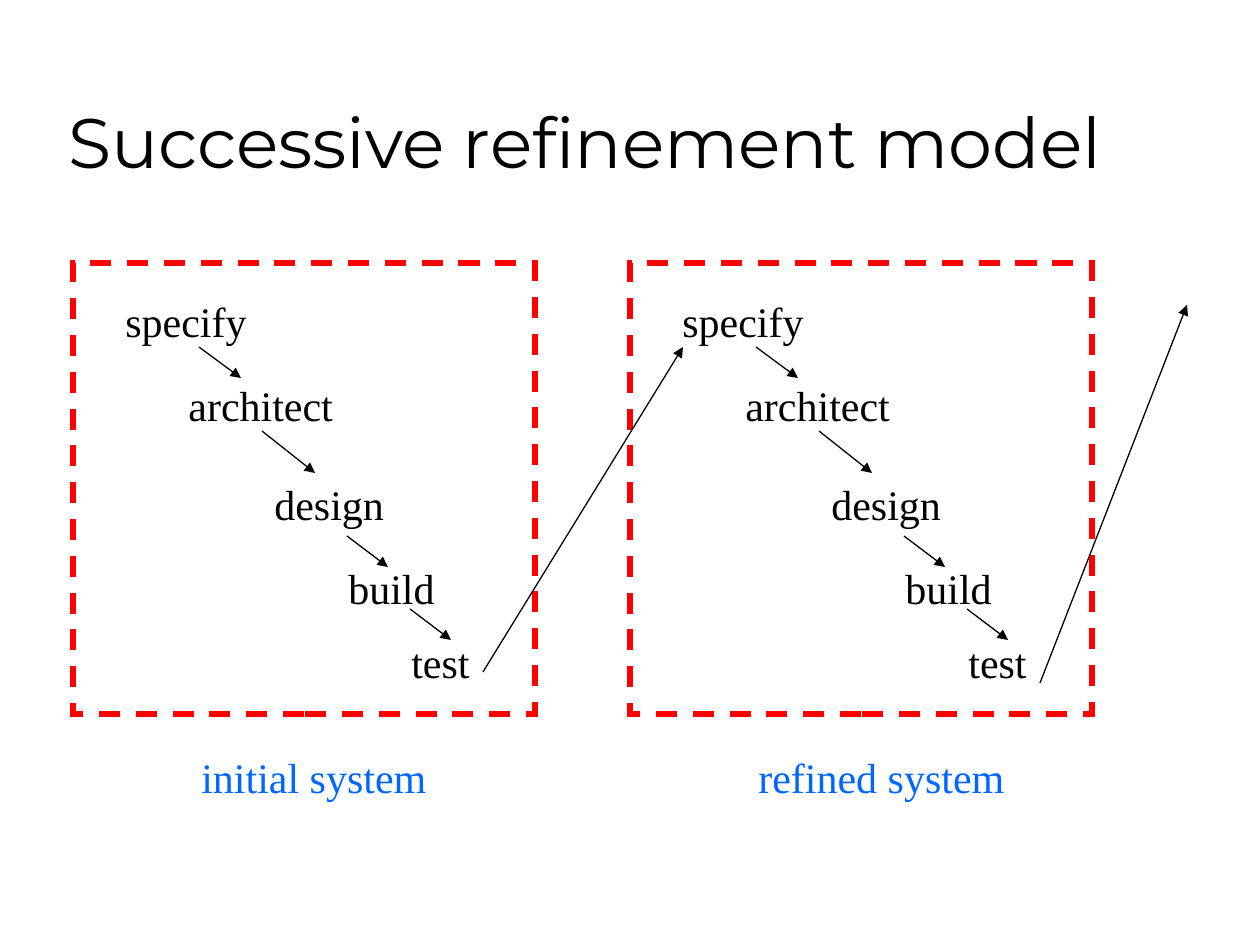
from dataclasses import dataclass

from lxml import etree
from pptx import Presentation
from pptx import util as u
from pptx.dml.color import RGBColor
from pptx.enum import dml, shapes, text
from pptx.oxml.ns import qn

TITLE = "Successive refinement model"
TITLE_BOX = (56, 31, 1071, 158)
STAGES = [
    ("specify", 113, 289, 149),
    ("architect", 176, 373, 172),
    ("design", 262, 472, 138),
    ("build", 336, 556, 114),
    ("test", 399, 630, 86),
]
STEPS = [
    (199, 347, 241, 378),
    (262, 431, 315, 473),
    (347, 536, 388, 567),
    (410, 609, 451, 640),
]
SYSTEMS = [("initial system", 252), ("refined system", 274)]
FEEDBACK = [(483, 672, 683, 347), (1040, 683, 1187, 305)]
FRAME = (73, 263, 462, 451)
CAPTION_LEFT, CAPTION_TOP = 189, 745
LABEL_HEIGHT = 63
SYSTEM_PITCH = 557


@dataclass(frozen=True)
class Theme:
    ink: RGBColor = RGBColor(0, 0, 0)
    frame: RGBColor = RGBColor(255, 0, 0)
    caption: RGBColor = RGBColor(0, 102, 255)
    heading_font: str = "Montserrat"
    body_font: str = "Times New Roman"
    heading_size: int = 40
    body_size: int = 24
    arrow_width: float = 0.75
    frame_width: int = 3


THEME = Theme()


def px(value):
    return u.Emu(round(value * u.Inches(1) / 126))


def write(paragraph, words, font, size, color):
    run = paragraph.add_run()
    run.text = words
    run.font.name = font
    run.font.size = u.Pt(size)
    run.font.color.rgb = color


def add_title(slide):
    title = slide.shapes.title
    title.left, title.top, title.width, title.height = map(px, TITLE_BOX)
    frame = title.text_frame
    frame.auto_size = text.MSO_AUTO_SIZE.NONE
    frame.vertical_anchor = text.MSO_ANCHOR.BOTTOM
    paragraph = frame.paragraphs[0]
    paragraph.alignment = text.PP_ALIGN.LEFT
    write(paragraph, TITLE, THEME.heading_font, THEME.heading_size, THEME.ink)


def add_label(slide, words, left, top, width, color):
    box = slide.shapes.add_textbox(px(left), px(top), px(width), px(LABEL_HEIGHT))
    frame = box.text_frame
    frame.word_wrap = True
    frame.auto_size = text.MSO_AUTO_SIZE.NONE
    write(frame.paragraphs[0], words, THEME.body_font, THEME.body_size, color)


def add_arrow(slide, x1, y1, x2, y2):
    arrow = slide.shapes.add_connector(
        shapes.MSO_CONNECTOR.STRAIGHT, px(x1), px(y1), px(x2), px(y2)
    )
    arrow.line.color.rgb = THEME.ink
    arrow.line.width = u.Pt(THEME.arrow_width)
    properties = arrow._element.spPr
    etree.SubElement(properties.find(qn("a:ln")), qn("a:tailEnd"), type="triangle")
    etree.SubElement(properties, qn("a:effectLst"))


def add_frame(slide, shift):
    left, top, width, height = FRAME
    shape = slide.shapes.add_shape(
        shapes.MSO_SHAPE.RECTANGLE, px(left + shift), px(top), px(width), px(height)
    )
    shape.shadow.inherit = False
    shape.fill.background()
    shape.line.color.rgb = THEME.frame
    shape.line.width = u.Pt(THEME.frame_width)
    shape.line.dash_style = dml.MSO_LINE.DASH
    outline = shape._element.spPr.find(qn("a:ln"))
    etree.SubElement(outline, qn("a:miter"), lim="800000")


def add_system(slide, caption, caption_width, shift):
    for words, left, top, width in STAGES:
        add_label(slide, words, left + shift, top, width, THEME.ink)
    for x1, y1, x2, y2 in STEPS:
        add_arrow(slide, x1 + shift, y1, x2 + shift, y2)
    add_frame(slide, shift)
    add_label(
        slide, caption, CAPTION_LEFT + shift, CAPTION_TOP, caption_width, THEME.caption
    )


def main():
    presentation = Presentation()
    presentation.slide_width, presentation.slide_height = px(1260), px(945)
    slide = presentation.slides.add_slide(presentation.slide_layouts[5])
    add_title(slide)
    for index, (caption, width) in enumerate(SYSTEMS):
        add_system(slide, caption, width, index * SYSTEM_PITCH)
    for ends in FEEDBACK:
        add_arrow(slide, *ends)
    presentation.save("out.pptx")


if __name__ == "__main__":
    main()
